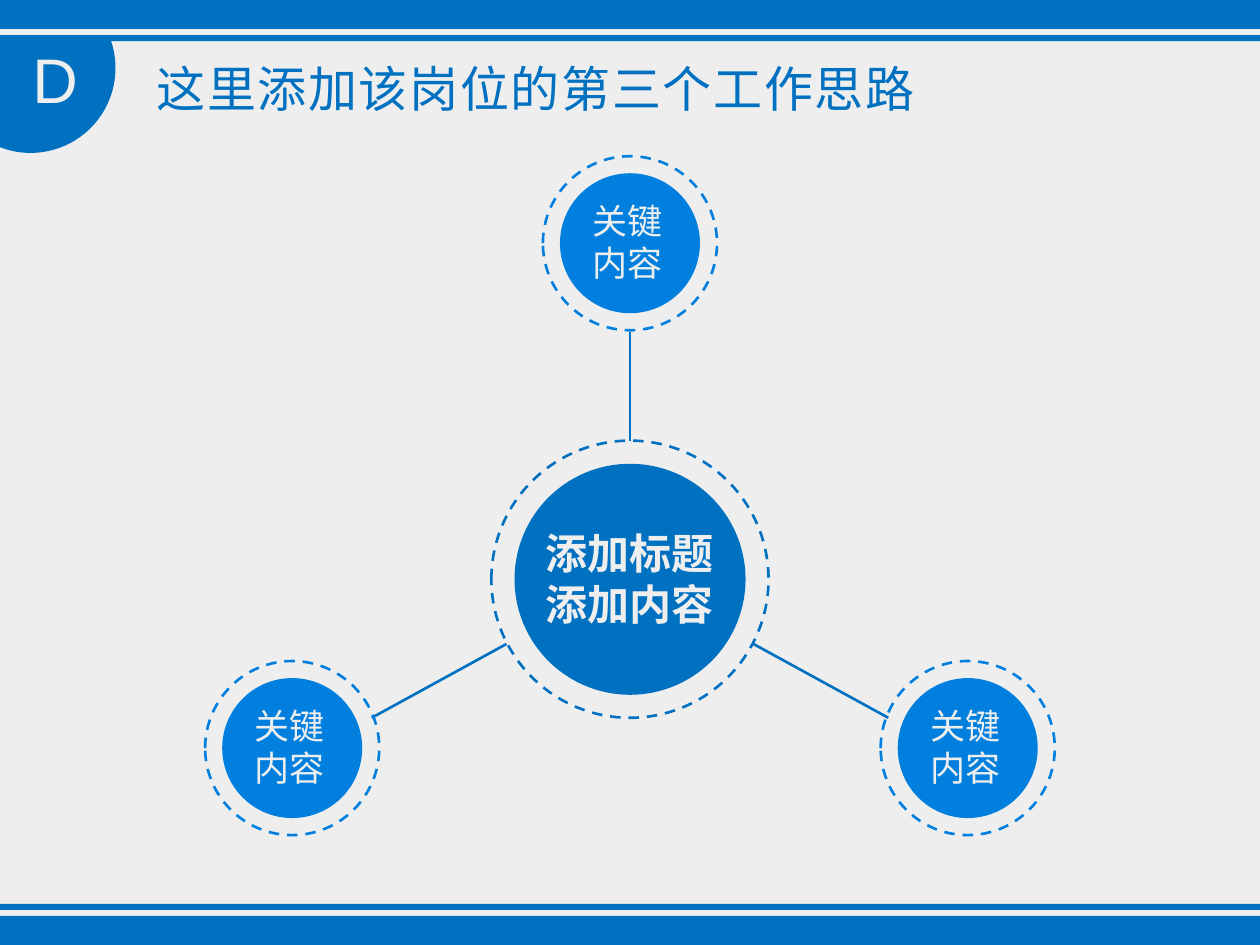
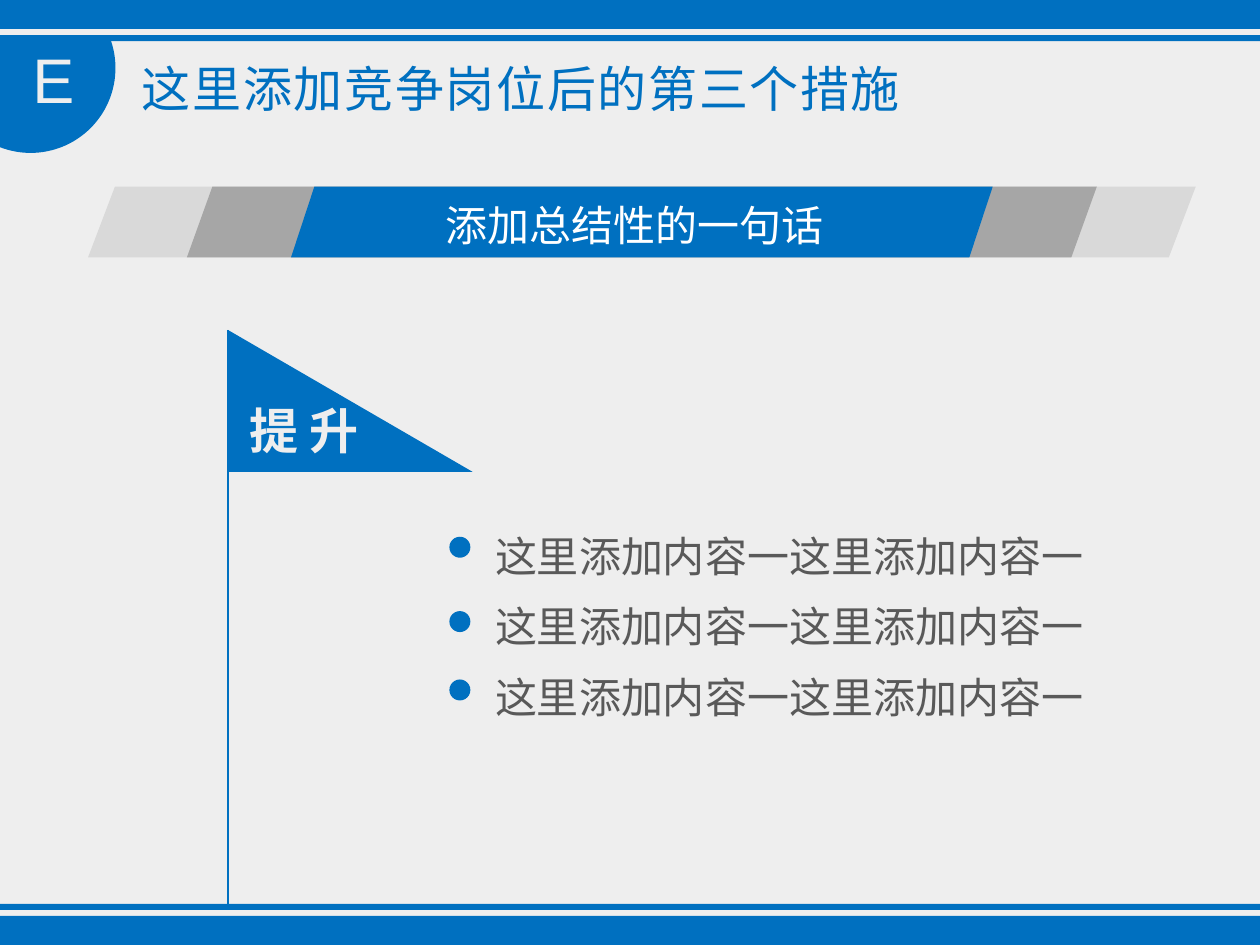
import dataclasses
import math
import typing

import lxml.etree
import pptx
import pptx.dml.color
import pptx.enum.dml
import pptx.enum.shapes
import pptx.enum.text
import pptx.oxml.ns
import pptx.util

Pt = pptx.util.Pt
SHAPE = pptx.enum.shapes.MSO_SHAPE
JUSTIFY = pptx.enum.text.PP_ALIGN.JUSTIFY
WIDTH, HEIGHT = 720, 540


@dataclasses.dataclass(frozen=True)
class Theme:
    background: str = "EEEEEE"
    blue: str = "0070C0"
    bright_blue: str = "007FDE"
    light_grey: str = "D9D9D9"
    mid_grey: str = "A6A6A6"
    body_grey: str = "595959"
    white: str = "FFFFFF"
    cjk_font: str = "Noto Sans CJK SC"
    badge_font: str = "Arial"
    label_font: str = "Calibri"
    badge_size: int = 36
    title_size: int = 28
    body_size: int = 24
    label_size: int = 20
    line_width: float = 1.5


THEME = Theme()


class Box(typing.NamedTuple):
    left: float
    top: float
    width: float
    height: float

    def lengths(self) -> list[pptx.util.Length]:
        return [Pt(value) for value in self]


class Point(typing.NamedTuple):
    x: float
    y: float


class Satellite(typing.NamedTuple):
    centre: Point
    spoke_outer: Point
    spoke_inner: Point


class Stripe(typing.NamedTuple):
    width: float
    slant: float
    color: str


@dataclasses.dataclass(frozen=True)
class TextStyle:
    size: int
    color: str
    font: str = THEME.cjk_font
    bold: bool = False
    tracking: float = 0
    line_spacing: float | None = None
    alignment: typing.Any = None
    wrap: bool = False


TITLE = TextStyle(THEME.title_size, THEME.blue, tracking=1, alignment=JUSTIFY, wrap=True)
SPACED_TITLE = dataclasses.replace(TITLE, line_spacing=1.25)
BADGE = TextStyle(THEME.badge_size, THEME.background, THEME.badge_font)
HUB = TextStyle(THEME.body_size, THEME.background, THEME.label_font, bold=True)
LABEL = TextStyle(THEME.label_size, THEME.background, THEME.label_font)
SUMMARY = TextStyle(THEME.body_size, THEME.white)
FLAG = TextStyle(THEME.title_size, THEME.background, bold=True)
BODY = TextStyle(THEME.body_size, THEME.body_grey, line_spacing=1.4,
                 alignment=JUSTIFY, wrap=True)


def rgb(color: str) -> pptx.dml.color.RGBColor:
    return pptx.dml.color.RGBColor.from_string(color)


def apply(target: typing.Any, values: dict[str, typing.Any]) -> None:
    for name, value in values.items():
        setattr(target, name, value)


def paint(shape, color: str) -> None:
    """Give a shape a plain fill without outline or shadow."""
    shape.shadow.inherit = False
    shape.fill.solid()
    shape.fill.fore_color.rgb = rgb(color)
    shape.line.fill.background()


def add_filled(slide, kind, box: Box, color: str):
    shape = slide.shapes.add_shape(kind, *box.lengths())
    paint(shape, color)
    return shape


def circle_box(centre: Point, diameter: float) -> Box:
    return Box(centre.x - diameter / 2, centre.y - diameter / 2, diameter, diameter)


def add_ring(slide, centre: Point, diameter: float, color: str) -> None:
    ring = slide.shapes.add_shape(SHAPE.OVAL, *circle_box(centre, diameter).lengths())
    ring.shadow.inherit = False
    ring.fill.background()
    ring.line.color.rgb = rgb(color)
    apply(ring.line, {"width": Pt(THEME.line_width),
                      "dash_style": pptx.enum.dml.MSO_LINE.DASH})


def add_line(slide, start: Point, end: Point) -> None:
    line = slide.shapes.add_connector(
        pptx.enum.shapes.MSO_CONNECTOR.STRAIGHT,
        Pt(start.x), Pt(start.y), Pt(end.x), Pt(end.y))
    line.line.color.rgb = rgb(THEME.blue)
    line.line.width = Pt(THEME.line_width)
    lxml.etree.SubElement(line._element.spPr, pptx.oxml.ns.qn("a:effectLst"))


def add_text(slide, box: Box, lines: list[str], style: TextStyle) -> None:
    frame = slide.shapes.add_textbox(*box.lengths()).text_frame
    apply(frame, {"word_wrap": style.wrap,
                  "auto_size": pptx.enum.text.MSO_AUTO_SIZE.SHAPE_TO_FIT_TEXT})
    for index, line in enumerate(lines):
        paragraph = frame.add_paragraph() if index else frame.paragraphs[0]
        apply(paragraph, {"alignment": style.alignment,
                          "line_spacing": style.line_spacing})
        run = paragraph.add_run()
        run.text = line
        apply(run.font, {"size": Pt(style.size), "bold": style.bold, "name": style.font})
        run.font.color.rgb = rgb(style.color)
        properties = run._r.get_or_add_rPr()
        if style.tracking:
            properties.set("spc", str(round(style.tracking * 100)))
        east_asian = lxml.etree.Element(pptx.oxml.ns.qn("a:ea"), typeface=THEME.cjk_font)
        properties.find(pptx.oxml.ns.qn("a:latin")).addnext(east_asian)


def add_badge(slide, letter: str) -> None:
    """Draw the corner disc, cut flat under the top band, with its letter."""
    centre, radius, cut = Point(17.5, 38.9), 48.5, 23.2
    start = math.asin((cut - centre.y) / radius)
    sweep, steps = math.pi - 2 * start, 72
    angles = [start + sweep * step / steps for step in range(steps + 1)]
    rim = [(Pt(centre.x + radius * math.cos(angle)),
            Pt(centre.y + radius * math.sin(angle))) for angle in angles]
    builder = slide.shapes.build_freeform(*rim[0])
    builder.add_line_segments(rim[1:], close=True)
    paint(builder.convert_to_shape(), THEME.blue)
    add_text(slide, Box(11.5, 19.4, 42, 51), [letter], BADGE)


def add_section(deck, letter: str, title: str, title_box: Box, style: TextStyle):
    """Add a slide with the shared background, bands, title and badge."""
    slide = deck.slides.add_slide(deck.slide_layouts[6])
    slide.background.fill.solid()
    slide.background.fill.fore_color.rgb = rgb(THEME.background)
    for offset, thickness in ((0, 16.6), (20, 3.5)):
        for top in (offset, HEIGHT - offset - thickness):
            add_filled(slide, SHAPE.RECTANGLE, Box(0, top, WIDTH, thickness), THEME.blue)
    add_text(slide, title_box, [title], style)
    add_badge(slide, letter)
    return slide


def build_ideas(deck) -> None:
    slide = add_section(deck, "D", "这里添加该岗位的第三个工作思路",
                        Box(82.3, 30.2, 602, 41), TITLE)
    hub = Point(360, 331)
    satellites = [
        Satellite(Point(hub.x, 139), Point(hub.x, 190), Point(hub.x, 252)),
        *(Satellite(Point(hub.x + side * 193, 427.5),
                    Point(hub.x + side * 147.6, 410.2),
                    Point(hub.x + side * 70.6, 368)) for side in (-1, 1)),
    ]
    for satellite in satellites:
        add_line(slide, satellite.spoke_outer, satellite.spoke_inner)
    for satellite in satellites:
        centre = satellite.centre
        add_ring(slide, centre, 99.5, THEME.bright_blue)
        add_filled(slide, SHAPE.OVAL, circle_box(centre, 80), THEME.bright_blue)
        add_text(slide, Box(centre.x - 28.5, centre.y - 28.5, 54.7, 55.5),
                 ["关键", "内容"], LABEL)
    add_filled(slide, SHAPE.OVAL, circle_box(hub, 132), THEME.blue)
    add_ring(slide, hub, 158.4, THEME.blue)
    add_text(slide, Box(304.4, 298, 111.6, 65.5), ["添加标题", "添加内容"], HUB)


def build_measures(deck) -> None:
    slide = add_section(deck, "E", "这里添加竞争岗位后的第三个措施",
                        Box(74, 21.6, 614, 47.5), SPACED_TITLE)
    ribbon_centre = 366.8
    for stripe in (Stripe(633, 0.38, THEME.light_grey),
                   Stripe(520, 0.36, THEME.mid_grey),
                   Stripe(401, 0.33, THEME.blue)):
        box = Box(ribbon_centre - stripe.width / 2, 106.6, stripe.width, 40.5)
        ribbon = add_filled(slide, SHAPE.PARALLELOGRAM, box, stripe.color)
        ribbon.adjustments[0] = stripe.slant
    add_text(slide, Box(247.7, 110.2, 232.5, 36), ["添加总结性的一句话"], SUMMARY)

    mast = Point(130.3, 188.6)
    add_line(slide, mast, Point(mast.x, 517.7))
    add_filled(slide, SHAPE.RIGHT_TRIANGLE, Box(*mast, 139.7, 81), THEME.blue)
    add_text(slide, Box(135.4, 225.4, 79.2, 41), ["提 升"], FLAG)

    add_text(slide, Box(275.8, 288, 360, 129.6), ["这里添加内容一这里添加内容一"] * 3, BODY)
    for top in (306.7, 349.2, 388.3):
        add_filled(slide, SHAPE.OVAL, Box(256.8, top, 12, 12), THEME.blue)


def main() -> None:
    deck = pptx.Presentation()
    apply(deck, {"slide_width": Pt(WIDTH), "slide_height": Pt(HEIGHT)})
    build_ideas(deck)
    build_measures(deck)
    deck.save("out.pptx")


if __name__ == "__main__":
    main()
